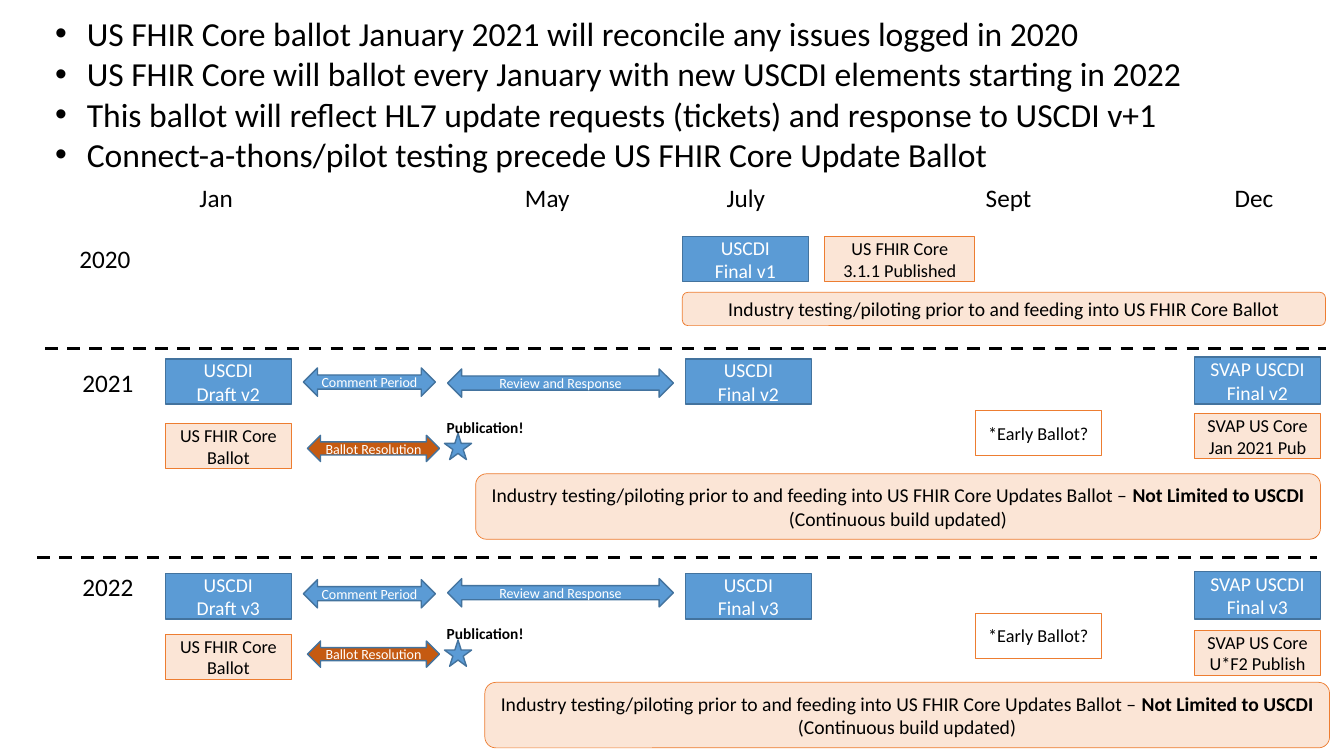
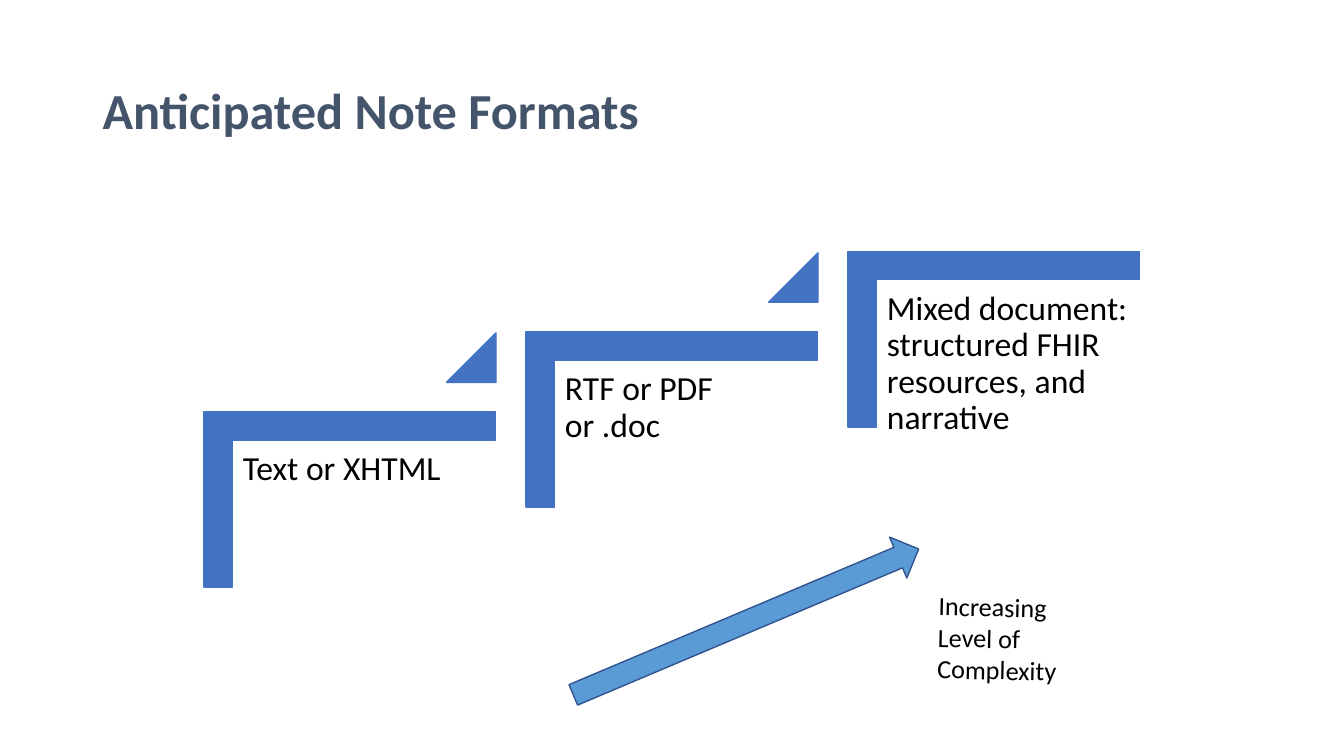
from lxml import etree
from pptx import Presentation
from pptx.dml.color import RGBColor
from pptx.enum.dml import MSO_LINE
from pptx.enum.shapes import MSO_CONNECTOR, MSO_SHAPE
from pptx.enum.text import MSO_ANCHOR, PP_ALIGN
from pptx.oxml.ns import qn
from pptx.util import Pt

RECT, ROUNDED = MSO_SHAPE.RECTANGLE, MSO_SHAPE.ROUNDED_RECTANGLE
TWO_WAY, STAR = MSO_SHAPE.LEFT_RIGHT_ARROW, MSO_SHAPE.STAR_5_POINT
TRIANGLE, DOWN_ARROW = MSO_SHAPE.ISOSCELES_TRIANGLE, MSO_SHAPE.DOWN_ARROW
LEFT, CENTER = PP_ALIGN.LEFT, PP_ALIGN.CENTER
TOP, MIDDLE = MSO_ANCHOR.TOP, MSO_ANCHOR.MIDDLE

FONT = "Calibri"
COLORS = {
    "black": "000000", "white": "FFFFFF", "title": "44546A",
    "blue": "5B9BD5", "blue edge": "43739E", "arrow edge": "31538F",
    "peach": "FBE5D6", "orange": "ED7D31", "rust": "C55A11",
    "step": "4372C3",
}
# fill, outline colour, outline width
BLUE = ("blue", "blue edge", 1)
RUST = ("rust", "blue edge", 1)
PEACH = ("peach", "orange", 0.5)
OPEN = (None, "orange", 0.5)
STEP = ("step", "step", 1)
COMPLEXITY = ("blue", "arrow edge", 1)


def add_text(page, text, at, size, color="black", align=LEFT, anchor=TOP,
             bold=False, wrap=True, box=None):
    """Write one paragraph per line into box, or into a new text box."""
    box = box or page.shapes.add_textbox(*map(Pt, at))
    frame = box.text_frame
    frame.word_wrap = wrap
    frame.vertical_anchor = anchor
    for number, line in enumerate(text.split("\n")):
        para = frame.paragraphs[0] if number == 0 else frame.add_paragraph()
        para.add_run().text = line
        para.alignment = align
        para.font.name = FONT
        para.font.size = Pt(size)
        para.font.bold = bold
        para.font.color.rgb = RGBColor.from_string(COLORS[color])
    return box


def add_shape(page, kind, at, style, text="", size=14, color="black", shape=None):
    """Add a preset shape, or take the given shape, and style it."""
    fill, edge, width = style
    shape = shape or page.shapes.add_shape(kind, *map(Pt, at))
    shape.shadow.inherit = False
    if fill:
        shape.fill.solid()
        shape.fill.fore_color.rgb = RGBColor.from_string(COLORS[fill])
    else:
        shape.fill.background()
    shape.line.color.rgb = RGBColor.from_string(COLORS[edge])
    shape.line.width = Pt(width)
    if text:
        add_text(page, text, at, size, color, CENTER, MIDDLE, box=shape)
    return shape


deck = Presentation()
deck.slide_width, deck.slide_height = Pt(960), Pt(540)
blank = deck.slide_layouts[6]

# Slide 1: ballot timeline
page = deck.slides.add_slide(blank)
bullets = page.shapes.add_textbox(Pt(32.4), Pt(5.8), Pt(894), Pt(124))
bullets.text_frame.word_wrap = True
bullet_lines = [
    "US FHIR Core ballot January 2021 will reconcile any issues logged in 2020",
    "US FHIR Core will ballot every January with new USCDI elements starting in 2022",
    "This ballot will reflect HL7 update requests (tickets) and response to USCDI v+1",
    "Connect-a-thons/pilot testing precede US FHIR Core Update Ballot",
]
for number, line in enumerate(bullet_lines):
    frame = bullets.text_frame
    para = frame.paragraphs[0] if number == 0 else frame.add_paragraph()
    props = para._p.get_or_add_pPr()
    props.set("marL", str(Pt(22.5)))
    props.set("indent", str(-Pt(22.5)))
    etree.SubElement(props, qn("a:buFont")).set("typeface", "Arial")
    etree.SubElement(props, qn("a:buChar")).set("char", "•")
    para.add_run().text = line
    para.font.name = FONT
    para.font.size = Pt(24)
    para.font.color.rgb = RGBColor.from_string(COLORS["black"])

labels = [
    ("Jan", 135.4, 126.7), ("May", 367.9, 126.7), ("July", 511.9, 126.7),
    ("Sept", 697, 126.7), ("Dec", 874.8, 126.7),
    ("2020", 49.7, 169.9), ("2021", 51.8, 258.5), ("2022", 51.8, 404.6),
]
for label, left, top in labels:
    add_text(page, label, (left, top, 51, 29), 18, wrap=False)

for left, top in [(32.4, 249.1), (26.6, 398.2)]:
    divider = page.shapes.add_connector(
        MSO_CONNECTOR.STRAIGHT, Pt(left), Pt(top), Pt(left + 914.4), Pt(top))
    divider.line.color.rgb = RGBColor.from_string(COLORS["black"])
    divider.line.width = Pt(2.25)
    divider.line.dash_style = MSO_LINE.DASH
    etree.SubElement(divider._element.spPr, qn("a:effectLst"))

add_shape(page, RECT, (487.4, 168.8, 90, 32.4), BLUE, "USCDI\nFinal v1", 14, "white")
add_shape(page, RECT, (589, 168.8, 107.3, 32.4), PEACH,
          "US FHIR Core 3.1.1 Published", 13)
add_shape(page, ROUNDED, (487.4, 208.8, 459.4, 23.8), PEACH,
          "Industry testing/piloting prior to and feeding into US FHIR Core Ballot")

# version, SVAP core text, then tops: USCDI, comment, review, ballot,
# SVAP core, resolution, star, publication, early ballot, industry (with left)
years = [
    ("v2", "SVAP US Core\nJan 2021 Pub", 256.3, 262.8, 263.5, 302.4,
     295.2, 311, 309.6, 295.2, 293, 338.4, 339.8),
    ("v3", "SVAP US Core U*F2 Publish", 409.7, 414, 413.3, 452.9,
     450, 457.9, 457.2, 442.1, 437.8, 487.4, 346.3),
]
for (version, core, uscdi, comment, review, ballot, svap, resolution, star,
     publication, early, industry, industry_left) in years:
    for stage, left in [("Draft", 118.1), ("Final", 489.6)]:
        add_shape(page, RECT, (left, uscdi, 90, 32.4), BLUE,
                  f"USCDI\n{stage} {version}", 14, "white")
    add_shape(page, RECT, (853.2, uscdi - 1.4, 90, 33.8), BLUE,
              f"SVAP USCDI Final {version}", 14, "white")
    for text, left, top, width, height, style in [
            ("Comment Period", 216.7, comment, 94.3, 20.2, BLUE),
            ("Review and Response", 319.7, review, 161.3, 20.2, BLUE),
            ("Ballot Resolution", 219.6, resolution, 94.3, 18.7, RUST)]:
        add_shape(page, TWO_WAY, (left, top, width, height), style, text, 10, "white")
    for text, left, top, style in [
            ("US FHIR Core Ballot", 118.1, ballot, PEACH),
            (core, 853.2, svap, PEACH),
            ("*Early Ballot?", 696.6, early, OPEN)]:
        add_shape(page, RECT, (left, top, 90, 32.4), style, text, 13)
    add_shape(page, STAR, (317.5, star, 19.4, 18.7), BLUE)
    add_text(page, "Publication!", (278.6, publication, 136, 21), 11,
             align=CENTER, bold=True)
    testing = add_shape(
        page, ROUNDED, (industry_left, industry, 603.4, 46.8), PEACH,
        "Industry testing/piloting prior to and feeding into US FHIR Core "
        "Updates Ballot – \n(Continuous build updated)")
    span = testing.text_frame.paragraphs[0].add_run()
    span.text = "Not Limited to USCDI"
    span.font.bold = True

# Slide 2: note formats as rising steps
page = deck.slides.add_slide(blank)
title = add_text(page, "Anticipated Note Formats", (66.2, 28.8, 828, 104.4), 36,
                 "title", anchor=MIDDLE, bold=True)
title.text_frame.paragraphs[0].line_spacing = 0.9

arrow = add_shape(page, DOWN_ARROW, (517, 310.3, 31.7, 267.8), COMPLEXITY)
arrow.rotation = 247.1
caption = add_text(page, "Increasing\nLevel of Complexity", (663.1, 419, 152, 51), 18.7)
caption.rotation = 1.2

formats = ["Text or XHTML", "RTF or PDF or .doc",
           "Mixed document: structured FHIR resources, and narrative"]
width, height, bar = 208.1, 125.3, 20.2
bracket = [(0, 0), (width, 0), (width, bar), (bar, bar), (bar, height), (0, height)]
for number, text in enumerate(formats):
    across, rise = 230 * number, 57.2 * number
    corners = [(Pt(145.8 + across + x), Pt(294.1 - rise + y)) for x, y in bracket]
    outline = page.shapes.build_freeform(*corners[0])
    outline.add_line_segments(corners[1:], close=True)
    add_shape(page, None, None, STEP, shape=outline.convert_to_shape())
    step_text = add_text(page, text, (166.5 + across, 315.5 - rise, 188, 165), 24)
    step_text.text_frame.margin_top = Pt(7.2)
    step_text.text_frame.paragraphs[0].line_spacing = 0.9
    if number < len(formats) - 1:
        triangle = add_shape(page, TRIANGLE, (319 + across, 237.8 - rise, 35.3, 35.3), STEP)
        triangle.adjustments[0] = 1

deck.save("out.pptx")
